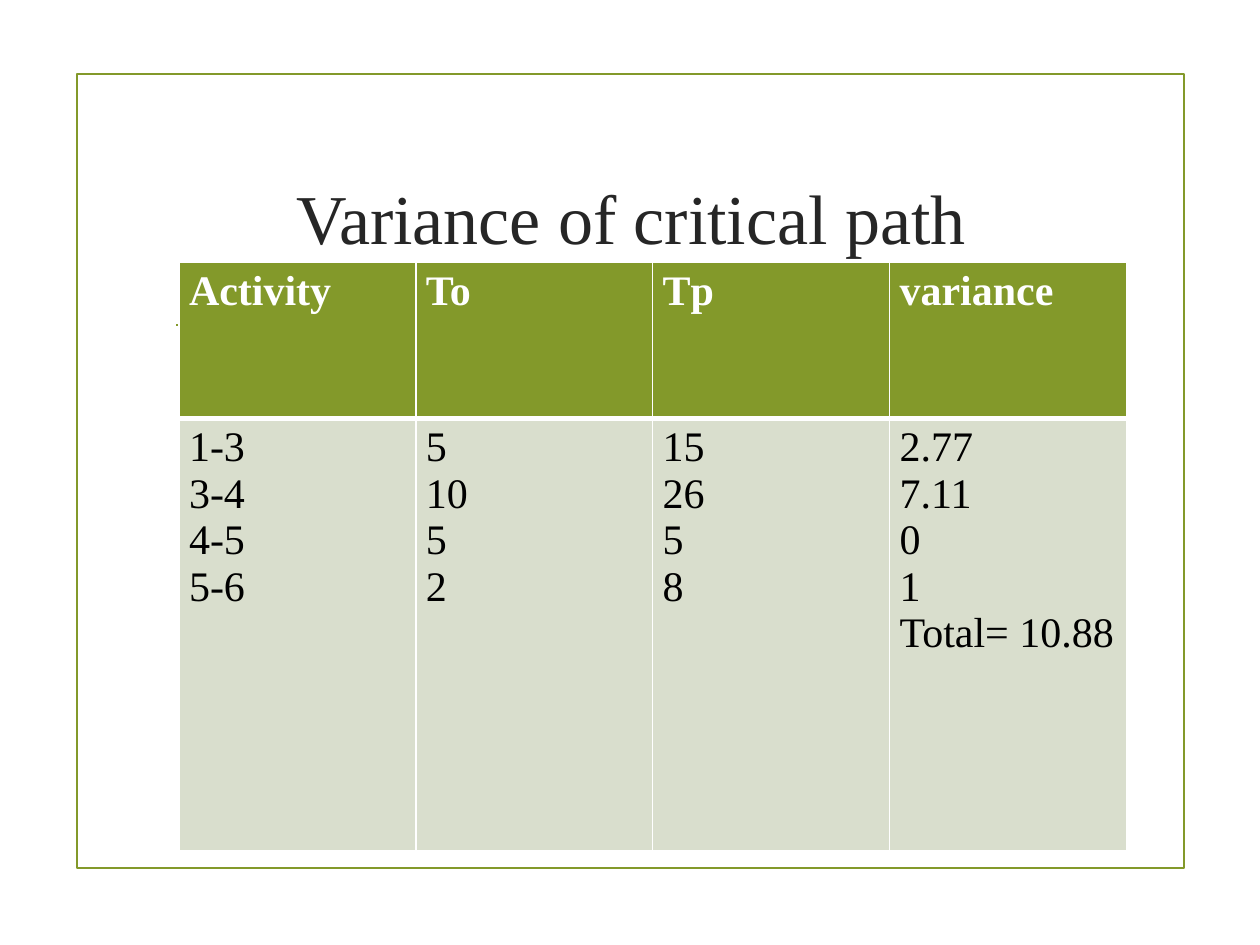
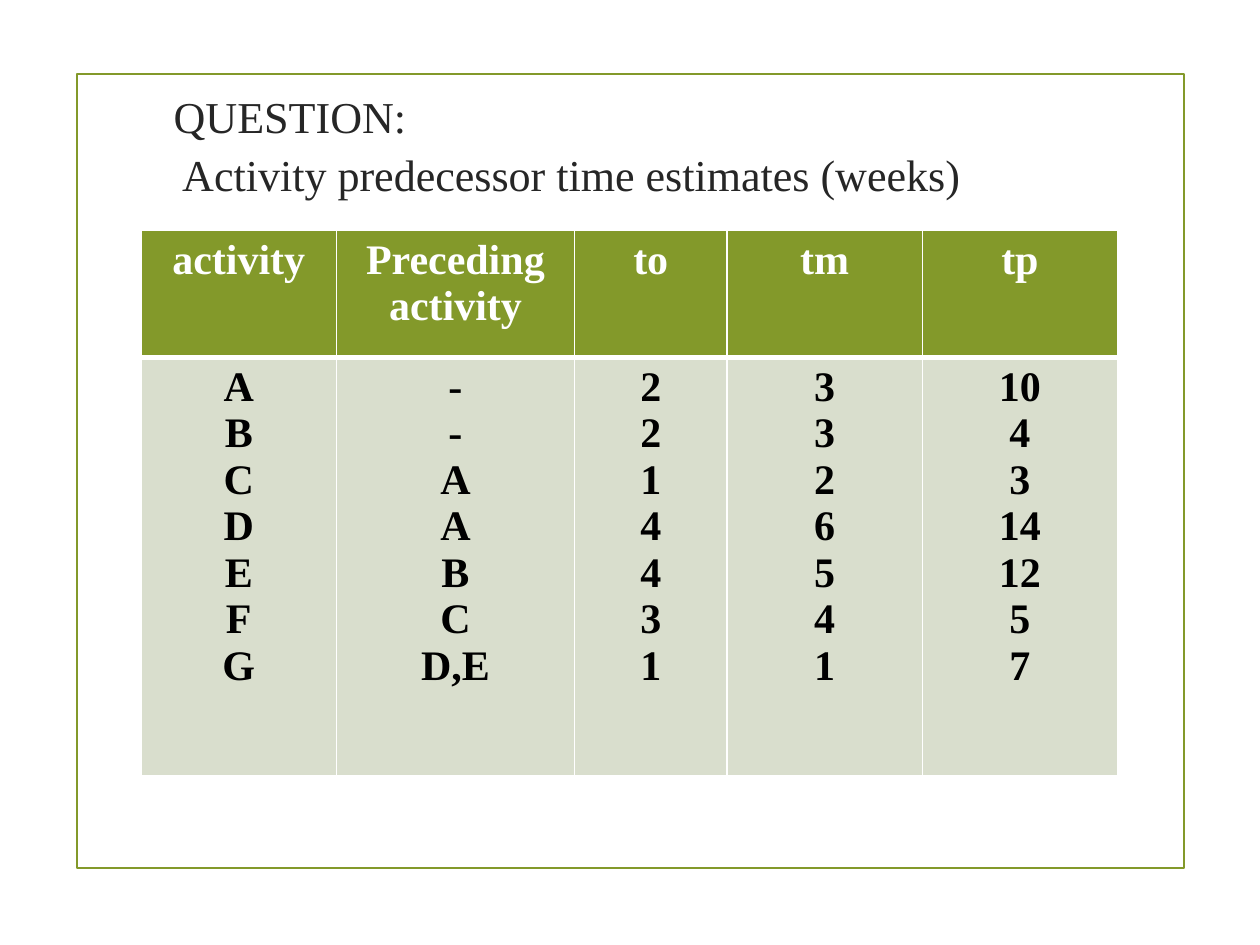
import pptx
import pptx.util
import pptx.dml.color
import pptx.enum.shapes
import pptx.enum.text
import pptx.oxml
import pptx.oxml.ns

PX = 9144
FONT = "Times New Roman"
HUES = {"green": "83992A", "pale": "D9DECD", "ink": "262626", "black": "000000", "white": "FFFFFF"}
LEFT = pptx.enum.text.PP_ALIGN.LEFT
MID = pptx.enum.text.PP_ALIGN.CENTER


def rgb(name):
    return pptx.dml.color.RGBColor.from_string(HUES[name])


def emu(*sizes):
    return [size * PX for size in sizes]


def style(para, size, hue, bold, align):
    para.alignment = align
    para.font.name = FONT
    para.font.size = pptx.util.Pt(size)
    para.font.bold = bold
    para.font.color.rgb = rgb(hue)


def stroke(line):
    line.color.rgb = rgb("green")
    line.width = pptx.util.Pt(1.25)


def frame(slide, box):
    left, top, width, height = box
    kind = pptx.enum.shapes.MSO_SHAPE.RECTANGLE
    edge = slide.shapes.add_shape(kind, *emu(*box))
    edge.shadow.inherit = False
    edge.fill.background()
    stroke(edge.line)
    inset, drop = 79, 199
    ends = emu(left + inset, top + drop, left + width - inset, top + drop)
    rule = slide.shapes.add_connector(pptx.enum.shapes.MSO_CONNECTOR.STRAIGHT, *ends)
    stroke(rule.line)
    props = rule._element.spPr
    props.append(props.makeelement(pptx.oxml.ns.qn("a:effectLst"), {}))


def title(slide, box, text, size, align, pitch=1):
    body = slide.shapes.add_textbox(*emu(*box)).text_frame
    body.word_wrap = True
    body.vertical_anchor = pptx.enum.text.MSO_ANCHOR.MIDDLE
    body.text = text
    para = body.paragraphs[0]
    para.line_spacing = pitch
    style(para, size, "ink", False, align)


def border(cell, head):
    props = cell._tc.get_or_add_tcPr()
    widths = {"L": 1, "R": 1, "T": 1 if head else 3, "B": 3 if head else 1}
    for side, width in widths.items():
        props.append(pptx.oxml.parse_xml(
            f'<a:ln{side} {pptx.oxml.ns.nsdecls("a")} w="{width * 12700}"><a:solidFill>'
            f'<a:srgbClr val="{HUES["white"]}"/></a:solidFill></a:ln{side}>'))


def fill(cell, lines, head, bold, align, inset):
    border(cell, head)
    cell.fill.solid()
    cell.fill.fore_color.rgb = rgb("green" if head else "pale")
    cell.margin_left = cell.margin_right = inset * PX
    cell.margin_top = cell.margin_bottom = 5 * PX
    cell.text = "\n".join(lines)
    for para in cell.text_frame.paragraphs:
        style(para, 24, "white" if head else "black", head or bold, align)


def grid(slide, spot, cols, rows, data, bold, align, inset):
    box = emu(*spot, sum(cols), sum(rows))
    table = slide.shapes.add_table(len(rows), len(cols), *box).table
    for row, height in zip(table.rows, rows):
        row.height = height * PX
    for index, (name, items) in enumerate(data.items()):
        table.columns[index].width = cols[index] * PX
        fill(table.cell(0, index), [name], True, bold, align, inset)
        fill(table.cell(1, index), items.split(), False, bold, align, inset)
    return table


def start(deck):
    slide = deck.slides.add_slide(deck.slide_layouts[6])
    frame(slide, (61, 59, 879, 630))
    return slide


def variance(deck):
    slide = start(deck)
    title(slide, (129, 100, 744, 143), "Variance of critical path", 40, MID)
    data = {
        "Activity": "1-3 3-4 4-5 5-6",
        "To": "5 10 5 2",
        "Tp": "15 26 5 8",
        "variance": "2.77 7.11 0 1",
    }
    table = grid(slide, (142, 208), [188] * 4, [124, 343], data, False, LEFT, 8)
    total = table.cell(1, 3).text_frame.add_paragraph()
    total.text = "Total= 10.88"
    style(total, 24, "black", False, LEFT)


def question(deck):
    slide = start(deck)
    text = "QUESTION:\v Activity predecessor time estimates (weeks)"
    title(slide, (128, 67, 744, 92), text, 25.2, LEFT, 1.09)
    data = {
        "activity": "A B C D E F G",
        "Preceding activity": "- - A A B C D,E",
        "to": "2 2 1 4 4 3 1",
        "tm": "3 3 2 6 5 4 1",
        "tp": "10 4 3 14 12 5 7",
    }
    cols = [155, 189, 121, 155, 155]
    grid(slide, (112, 183), cols, [101, 332], data, True, MID, 10)


def main():
    deck = pptx.Presentation()
    deck.slide_width, deck.slide_height = emu(1000, 750)
    variance(deck)
    question(deck)
    deck.save("out.pptx")


if __name__ == "__main__":
    main()
